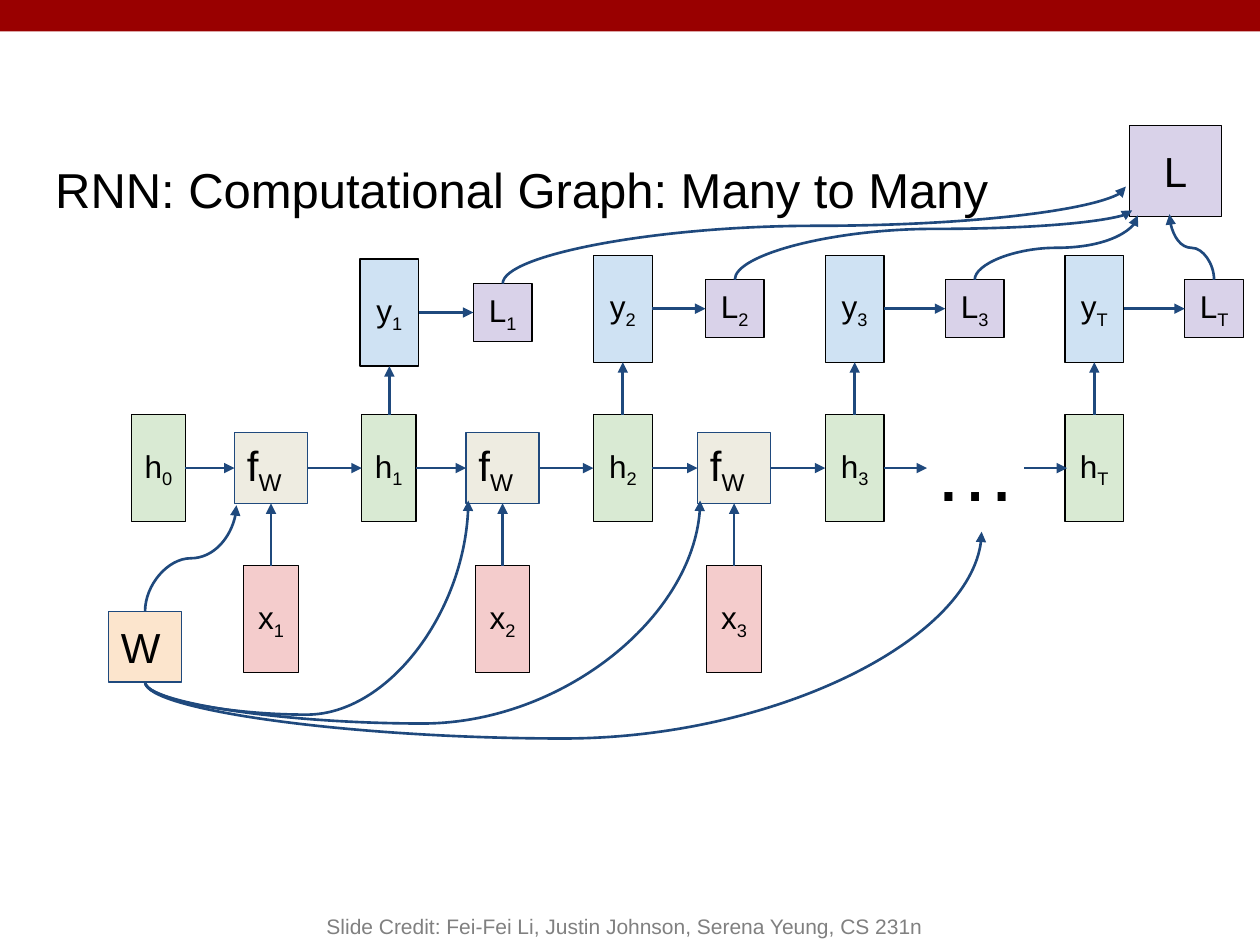
import pptx
import pptx.util
import pptx.dml.color
import pptx.enum.shapes
import pptx.enum.text
import pptx.oxml.ns
from lxml import etree

Pt = pptx.util.Pt
RGBColor = pptx.dml.color.RGBColor
qn = pptx.oxml.ns.qn
CONNECTOR = pptx.enum.shapes.MSO_CONNECTOR
ANCHOR = pptx.enum.text.MSO_ANCHOR
ALIGN = pptx.enum.text.PP_ALIGN

BLACK = RGBColor(0x00, 0x00, 0x00)
GRAY = RGBColor(0x80, 0x80, 0x80)
NAVY = RGBColor(0x1F, 0x49, 0x7D)
CRIMSON = RGBColor(0x99, 0x00, 0x00)
GREEN = RGBColor(0xD9, 0xEA, 0xD3)
BEIGE = RGBColor(0xEE, 0xEC, 0xE1)
PINK = RGBColor(0xF4, 0xCC, 0xCC)
BLUE = RGBColor(0xCF, 0xE2, 0xF3)
PURPLE = RGBColor(0xD9, 0xD2, 0xE9)
PEACH = RGBColor(0xFC, 0xE5, 0xCD)

# Content
TITLE = "RNN: Computational Graph: Many to Many"
CREDIT = "Slide Credit: Fei-Fei Li, Justin Johnson, Serena Yeung, CS 231n"
# Hidden states: subscript, left, width
HIDDEN = [("0", 75, 31), ("1", 206.7, 31), ("2", 339.1, 33.6),
          ("3", 471.6, 33.6), ("T", 608.5, 33.6)]
# Outputs with their losses: subscript, output left, output top, loss left
OUTPUTS = [("1", 205.7, 148, 270.5), ("2", 339.1, 145.8, 403.1),
           ("3", 471.6, 145.8, 540.2), ("T", 608.5, 145.8, 677)]
STEPS = ["1", "2", "3"]

# Layout
STEP_PITCH = 132.3
HIDDEN_TOP, TALL = 236.9, 61.2
MIDDLE = HIDDEN_TOP + TALL / 2
CELL_LEFT, CELL_WIDTH, CELL_HEIGHT = 134, 41.8, 40.3
CELL_TOP = MIDDLE - CELL_HEIGHT / 2
INPUT_TOP, INPUT_WIDTH = 323.2, 31.2
OUTPUT_WIDTH, LOSS_HEIGHT = 33.6, 33.1
WEIGHT_LEFT, WEIGHT_TOP = 62, 349.4
WEIGHT_X = WEIGHT_LEFT + CELL_WIDTH / 2
WEIGHT_BOTTOM = WEIGHT_TOP + CELL_HEIGHT
# Curves from W: start y, end x, end y, y of the bend
WEIGHT_CURVES = [(WEIGHT_TOP, 135.1, 288.7, 319), (WEIGHT_BOTTOM, 267.6, 286, 408.4),
                 (WEIGHT_BOTTOM, 400.1, 286, 413.4), (WEIGHT_BOTTOM, 560.9, 303.8, 422)]
# Curves from each loss to the total: end x, end y, y of the bend
LOSS_CURVES = [(643.4, 106.6, 129), (647, 120.2, 130.8),
               (650.2, 123.1, 141.6), (668.3, 122.4, 141.6)]

presentation = pptx.Presentation()
presentation.slide_width = Pt(720)
presentation.slide_height = Pt(540)
slide = presentation.slides.add_slide(presentation.slide_layouts[6])


def write(shape, text, size, color=BLACK, align=ALIGN.LEFT, anchor=ANCHOR.MIDDLE,
          subscript="", inset=7.2):
    frame = shape.text_frame
    frame.word_wrap = True
    frame.vertical_anchor = anchor
    frame.margin_left = frame.margin_right = Pt(7.2)
    frame.margin_top = frame.margin_bottom = Pt(inset)
    paragraph = frame.paragraphs[0]
    paragraph.alignment = align
    paragraph.font.name = "Arial"
    paragraph.font.size = Pt(size)
    paragraph.font.color.rgb = color
    paragraph.add_run().text = text
    if subscript:
        run = paragraph.add_run()
        run.text = subscript
        run.font._element.set("baseline", "-25000")


def add_text(left, top, width, height, text, size, **style):
    shape = slide.shapes.add_textbox(Pt(left), Pt(top), Pt(width), Pt(height))
    write(shape, text, size, **style)


def add_box(left, top, width, height, fill, text="", subscript="", size=18,
            align=ALIGN.CENTER, line=BLACK):
    shape = slide.shapes.add_shape(pptx.enum.shapes.MSO_SHAPE.RECTANGLE,
                                   Pt(left), Pt(top), Pt(width), Pt(height))
    shape.shadow.inherit = False
    shape.fill.solid()
    shape.fill.fore_color.rgb = fill
    if line is None:
        shape.line.fill.background()
    else:
        shape.line.color.rgb = line
        shape.line.width = Pt(0.75)
    if text:
        write(shape, text, size, align=align, subscript=subscript)


def add_arrow(x1, y1, x2, y2, kind=CONNECTOR.STRAIGHT):
    connector = slide.shapes.add_connector(kind, Pt(x1), Pt(y1), Pt(x2), Pt(y2))
    connector.line.color.rgb = NAVY
    connector.line.width = Pt(1.5)
    line = connector.line._get_or_add_ln()
    etree.SubElement(line, qn("a:tailEnd"), type="triangle")
    etree.SubElement(connector._element.spPr, qn("a:effectLst"))
    return connector


def add_curve(x1, y1, x2, y2, bend):
    """Curve that leaves and arrives vertically: a connector turned a quarter."""
    center_x, center_y = (x1 + x2) / 2, (y1 + y2) / 2
    half_width, half_height = (y1 - y2) / 2, abs(x2 - x1) / 2
    side = 1 if x2 > x1 else -1
    connector = add_arrow(center_x - side * half_width, center_y - half_height,
                          center_x + side * half_width, center_y + half_height,
                          CONNECTOR.CURVE)
    properties = connector._element.spPr
    properties.find(qn("a:xfrm")).set("rot", "16200000" if side > 0 else "5400000")
    adjustments = properties.find(qn("a:prstGeom")).find(qn("a:avLst"))
    share = round((y1 - bend) / (y1 - y2) * 100000)
    etree.SubElement(adjustments, qn("a:gd"), name="adj1", fmla=f"val {share}")


# Top band, title and credit
add_box(0, 0, 720, 18, CRIMSON, line=None)
add_text(24.5, 74.2, 648, 67.7, TITLE, 28)
add_text(144, 504, 426, 36, CREDIT, 12, color=GRAY, align=ALIGN.CENTER,
         anchor=ANCHOR.BOTTOM, inset=3.6)

# Hidden states
for subscript, left, width in HIDDEN:
    add_box(left, HIDDEN_TOP, width, TALL, GREEN, "h", subscript)

# Recurrent cells with their inputs
for index, subscript in enumerate(STEPS):
    left = CELL_LEFT + index * STEP_PITCH
    center = left + CELL_WIDTH / 2
    add_box(left, CELL_TOP, CELL_WIDTH, CELL_HEIGHT, BEIGE, "f", "W", 24,
            ALIGN.LEFT, NAVY)
    add_box(center - INPUT_WIDTH / 2, INPUT_TOP, INPUT_WIDTH, TALL, PINK, "x", subscript)
    add_arrow(center, INPUT_TOP, center, CELL_TOP + CELL_HEIGHT)
    _, before, before_width = HIDDEN[index]
    add_arrow(before + before_width, MIDDLE, left, MIDDLE)
    add_arrow(left + CELL_WIDTH, MIDDLE, HIDDEN[index + 1][1], MIDDLE)

# Skipped steps
add_arrow(505.2, MIDDLE, 529.7, MIDDLE)
add_text(526.3, 231.1, 68.4, 72.7, "…", 48, anchor=ANCHOR.TOP)
add_arrow(585.2, MIDDLE, 609.8, MIDDLE)

# Shared weights
add_box(WEIGHT_LEFT, WEIGHT_TOP, CELL_WIDTH, CELL_HEIGHT, PEACH, "W", size=24,
        align=ALIGN.LEFT, line=NAVY)
for start_y, end_x, end_y, bend in WEIGHT_CURVES:
    add_curve(WEIGHT_X, start_y, end_x, end_y, bend)

# Outputs, losses and total loss
add_box(645.6, 71.8, 52.4, 51.8, PURPLE, "L", size=24)
for (subscript, left, top, loss_left), curve in zip(OUTPUTS, LOSS_CURVES):
    center_x, center_y = left + OUTPUT_WIDTH / 2, top + TALL / 2
    loss_top = center_y - LOSS_HEIGHT / 2
    add_box(left, top, OUTPUT_WIDTH, TALL, BLUE, "y", subscript)
    add_box(loss_left, loss_top, OUTPUT_WIDTH, LOSS_HEIGHT, PURPLE, "L", subscript)
    add_arrow(center_x, HIDDEN_TOP, center_x, top + TALL)
    add_arrow(left + OUTPUT_WIDTH, center_y, loss_left, center_y)
    add_curve(loss_left + OUTPUT_WIDTH / 2, loss_top, *curve)

presentation.save("out.pptx")
